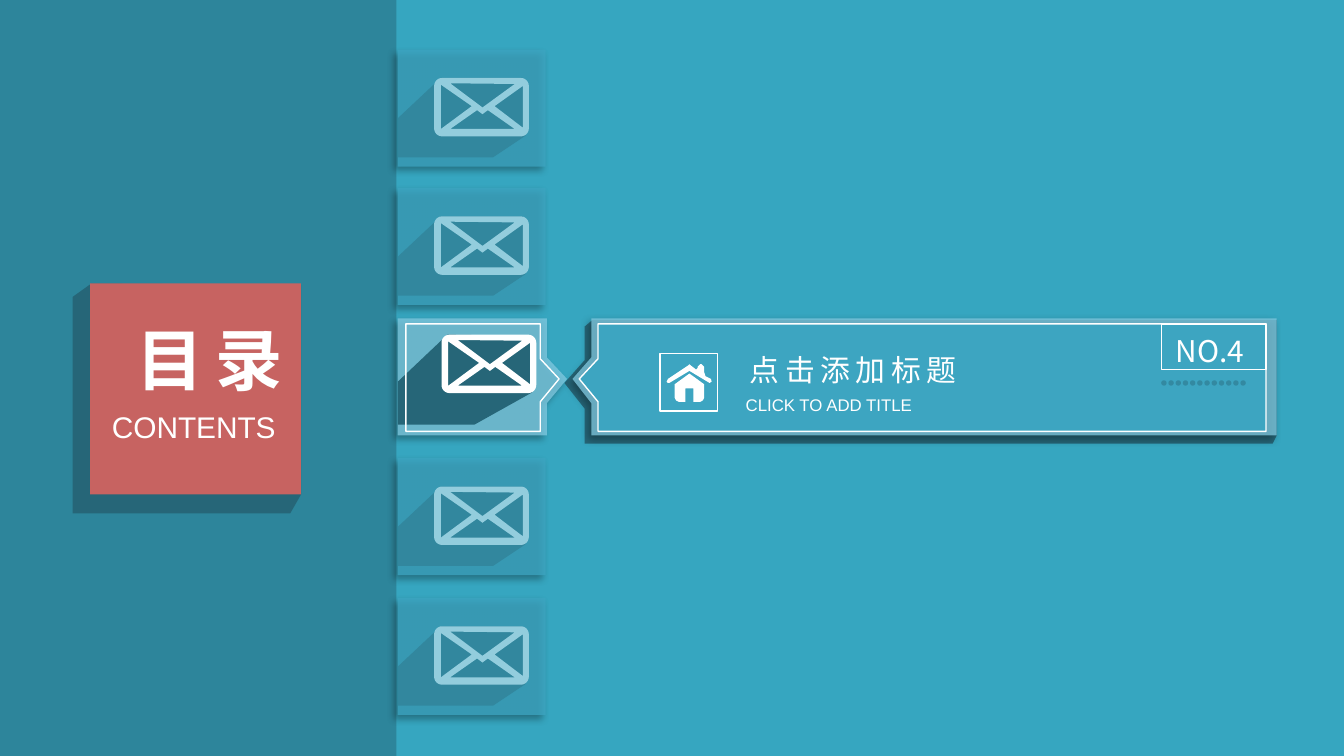
from math import cos, radians, sin

from lxml.etree import SubElement
from pptx import Presentation
from pptx.dml.color import RGBColor
from pptx.enum.shapes import MSO_SHAPE
from pptx.enum.text import MSO_AUTO_SIZE, PP_ALIGN
from pptx.oxml.ns import qn
from pptx.util import Inches, Pt

WHITE = RGBColor(0xFF, 0xFF, 0xFF)
BLACK = RGBColor(0x00, 0x00, 0x00)
SEA = RGBColor(0x36, 0xA6, 0xC0)
DEEP = RGBColor(0x26, 0x66, 0x78)
MIST = RGBColor(0x80, 0xC9, 0xE0)
TEAL = RGBColor(0x3D, 0xA5, 0xC1)
SHADE = RGBColor(0x32, 0x87, 0x9E)
PALE = RGBColor(0x93, 0xCD, 0xDD)
CORAL = RGBColor(0xC7, 0x63, 0x61)

COLS, ROWS = 1000, 562.5
CJK, LATIN = "Noto Sans CJK SC", "Arial"

CARD_ROWS = (37, 140, 341, 445)
CARD_COL, CARD_W, CARD_H = 296, 110, 87
CAST = [[(32, 21), (93, 21), (95, 28), (95, 64), (71, 80), (0, 80), (0, 51)]]
ACTIVE_CAST = [[(333, 249), (394, 250), (397, 256), (396, 292), (353, 316),
                (296, 316), (296, 284)]]
HOUSE = [
    [(513, 278), (502, 286), (502, 296), (503, 298), (505, 299), (510, 299),
     (510, 289), (516, 289), (516, 299), (521, 299), (523, 298), (524, 296),
     (524, 286)],
    [(497, 285), (496, 284), (497, 282), (512, 272), (513, 271), (514, 272),
     (518, 275), (519, 274), (519, 273), (521, 271), (522, 271), (524, 273),
     (524, 277), (525, 280), (529, 282), (529.5, 284), (528, 285),
     (513, 276), (498, 285)],
]


def rounded(w, h, radius):
    corners = ((w - radius, h - radius, 0), (radius, h - radius, 90),
               (radius, radius, 180), (w - radius, radius, 270))
    return [(x + radius * cos(radians(start + step)),
             y + radius * sin(radians(start + step)))
            for x, y, start in corners for step in range(0, 91, 15)]


ENVELOPE = [
    rounded(70.5, 43.5, 6),
    [(5, 5), (28, 21), (5, 38)],
    [(36, 27), (40, 24), (60, 38), (12, 38), (32, 24)],
    [(36, 22), (12, 4), (60, 4.5)],
    [(45, 21), (66, 6), (66, 37)],
]


class Deck:
    def __init__(self):
        self.prs = Presentation()
        self.prs.slide_width, self.prs.slide_height = Inches(10), Inches(5.625)
        self.s = self.prs.slides.add_slide(self.prs.slide_layouts[6])
        self.s.background.fill.solid()
        self.s.background.fill.fore_color.rgb = SEA

    def grid(self, x, y):
        return (round(x * self.prs.slide_width / COLS),
                round(y * self.prs.slide_height / ROWS))

    def style(self, sp, fill, alpha, line, shadow):
        sp.shadow.inherit = False
        spPr = sp._element.spPr
        if fill is None:
            sp.fill.background()
        else:
            sp.fill.solid()
            sp.fill.fore_color.rgb = fill
            if alpha < 100:
                clr = spPr.find(qn("a:solidFill"))[0]
                SubElement(clr, qn("a:alpha"), val=str(alpha * 1000))
        if line is None:
            sp.line.fill.background()
        else:
            sp.line.color.rgb = line
            sp.line.width = Pt(0.75)
        if shadow:
            outer = SubElement(spPr.find(qn("a:effectLst")), qn("a:outerShdw"),
                               blurRad=str(Pt(4)), dist=str(Pt(3)),
                               dir=str(135 * 60000), algn="tr", rotWithShape="0")
            clr = SubElement(outer, qn("a:srgbClr"), val=str(BLACK))
            SubElement(clr, qn("a:alpha"), val="40000")

    def shape(self, x, y, w, h, fill=None, alpha=100, line=None, shadow=False,
              kind=MSO_SHAPE.RECTANGLE):
        sp = self.s.shapes.add_shape(kind, *self.grid(x, y), *self.grid(w, h))
        self.style(sp, fill, alpha, line, shadow)

    def outline(self, contours, fill=None, alpha=100, line=None, shadow=False,
                at=(0, 0)):
        loops = [[self.grid(x + at[0], y + at[1]) for x, y in loop]
                 for loop in contours]
        fb = self.s.shapes.build_freeform(*loops[0][0])
        for i, loop in enumerate(loops):
            if i:
                fb.move_to(*loop[0])
            fb.add_line_segments(loop[1:], close=True)
        self.style(fb.convert_to_shape(), fill, alpha, line, shadow)

    def text(self, x, y, w, h, words, size, font, align=PP_ALIGN.LEFT,
             bold=False, spacing=0, wrap=True):
        tb = self.s.shapes.add_textbox(*self.grid(x, y), *self.grid(w, h))
        tf = tb.text_frame
        tf.word_wrap = wrap
        tf.auto_size = MSO_AUTO_SIZE.SHAPE_TO_FIT_TEXT
        p = tf.paragraphs[0]
        p.alignment = align
        r = p.add_run()
        r.text = words
        r.font.size, r.font.bold, r.font.name = Pt(size), bold, font
        r.font.color.rgb = WHITE
        rPr = r._r.get_or_add_rPr()
        SubElement(rPr, qn("a:ea"), typeface=font)
        if spacing:
            rPr.set("spc", str(spacing * 100))

    def card(self, row):
        self.shape(CARD_COL, row, CARD_W, CARD_H, TEAL, 77, shadow=True)
        self.outline(CAST, SHADE, at=(CARD_COL, row))
        self.outline(ENVELOPE, PALE, at=(CARD_COL + 27, row + 21))

    def active_card(self):
        self.outline([[(296, 237), (407, 237), (407, 266), (422, 282),
                       (407, 300), (407, 324), (296, 324)]], MIST, 77, shadow=True)
        self.outline(ACTIVE_CAST, DEEP)
        self.outline(ENVELOPE, WHITE, at=(328.5, 249))
        self.outline([[(302, 241), (402, 241), (402, 267), (416, 282),
                       (402, 299), (402, 321), (302, 321)]], line=WHITE)

    def panel(self):
        self.outline([[(435, 243), (441, 238), (950, 238), (950, 324), (947, 330),
                       (435, 330), (435, 304), (420, 285), (435, 268)]], DEEP)
        self.outline([[(440, 237), (950, 237), (950, 324), (440, 324), (440, 300),
                       (426, 282), (440, 266)]], MIST, 77, shadow=True)
        self.outline([[(445, 241), (942, 241), (942, 321), (445, 321), (445, 299),
                       (431, 282), (445, 267)]], TEAL, line=WHITE)
        self.text(543, 257, 184, 37, "点击添加标题", 16, CJK, PP_ALIGN.CENTER, spacing=3)
        self.text(545, 289, 147, 25, "CLICK TO ADD TITLE", 9, LATIN, wrap=False)
        self.shape(864, 241, 78, 34, line=WHITE)
        self.text(865, 243, 85, 37, "NO.4", 16, CJK)
        for i in range(12):
            self.shape(864 + 5.36 * i, 283, 4, 4, DEEP, 43, kind=MSO_SHAPE.OVAL)
        self.shape(491, 263, 43, 43, line=WHITE)
        self.outline(HOUSE, WHITE)

    def contents(self):
        self.outline([[(68, 211), (224, 212), (224, 368), (216, 382), (54, 382),
                       (54, 221)]], DEEP)
        self.shape(67, 211, 157, 157, CORAL)
        self.text(66, 232, 154, 71, "目录", 36, CJK, PP_ALIGN.RIGHT, True, 6)
        self.text(20, 299, 195, 37, "CONTENTS", 16, LATIN, PP_ALIGN.RIGHT)


def main():
    deck = Deck()
    deck.panel()
    deck.shape(0, 0, 295, ROWS, DEEP, 51)
    for row in CARD_ROWS:
        deck.card(row)
    deck.active_card()
    deck.contents()
    deck.prs.save("out.pptx")


if __name__ == "__main__":
    main()
